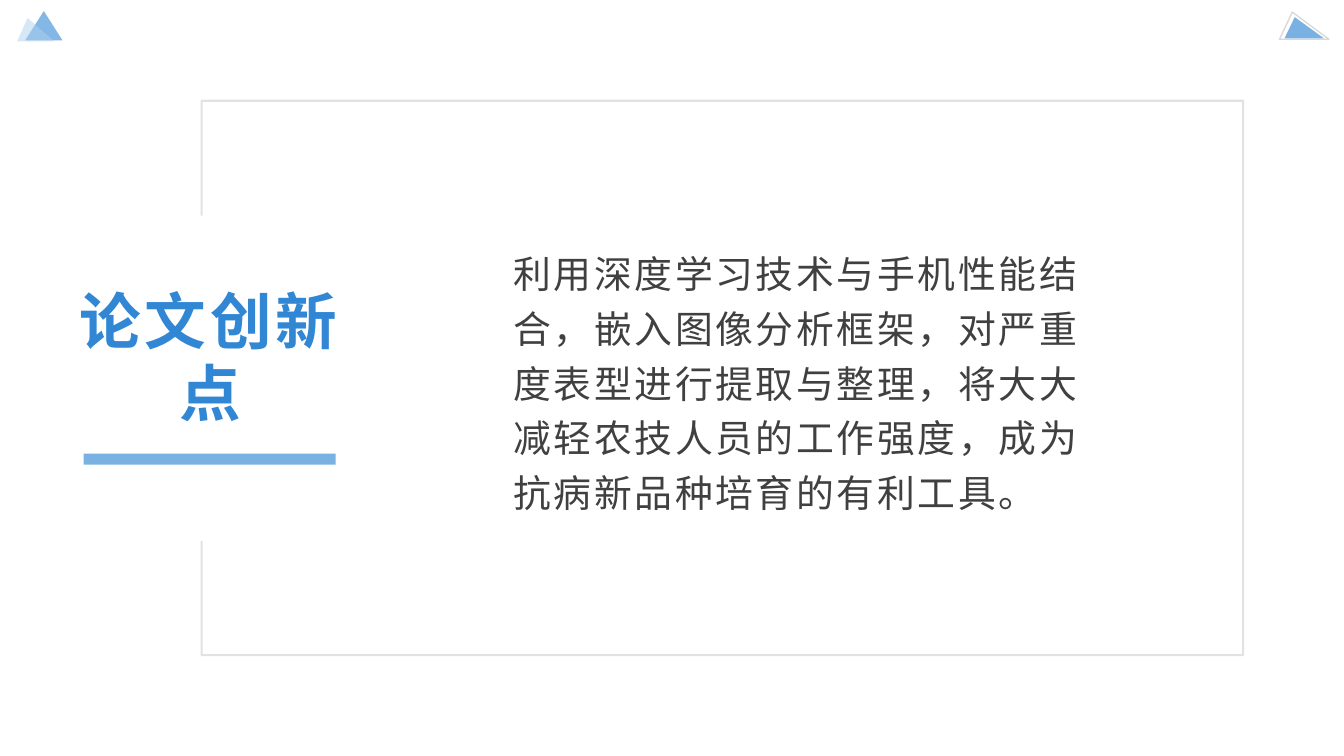
from dataclasses import dataclass
from typing import Optional

from lxml import etree
from pptx import Presentation
from pptx.dml.color import RGBColor
from pptx.enum.shapes import MSO_SHAPE
from pptx.enum.text import MSO_ANCHOR, MSO_AUTO_SIZE, PP_ALIGN
from pptx.oxml.ns import qn
from pptx.util import Inches, Pt

TRIANGLE, RECT = MSO_SHAPE.ISOSCELES_TRIANGLE, MSO_SHAPE.RECTANGLE
MIDDLE, NO_FIT = MSO_ANCHOR.MIDDLE, MSO_AUTO_SIZE.NONE
LEFT, CENTER = PP_ALIGN.LEFT, PP_ALIGN.CENTER


@dataclass(frozen=True)
class Theme:
    font: str = "Noto Sans CJK SC"
    blue: str = "3187D4"
    mid: str = "79B1E3"
    pale: str = "AFD0EE"
    gray: str = "D9D9D9"
    ink: str = "404040"
    title: float = 44
    body: float = 27


THEME = Theme()


@dataclass(frozen=True)
class Peak:
    """One triangle of a corner mark."""
    left: float
    top: float
    width: float
    height: float
    apex: float
    fill: Optional[str] = None
    alpha: int = 100
    line: Optional[str] = None


LEFT_MARK = (
    Peak(0.25, 0.11, 0.37, 0.29, 0.5, fill=THEME.blue, alpha=60),
    Peak(0.17, 0.18, 0.37, 0.23, 0.28, fill=THEME.pale, alpha=50),
)
RIGHT_MARK = (
    Peak(12.69, 0.12, 0.49, 0.27, 0.26, line=THEME.gray),
    Peak(12.74, 0.17, 0.39, 0.21, 0.26, fill=THEME.mid),
)


def paint(fill, color: str, alpha: int = 100) -> None:
    fill.solid()
    fill.fore_color.rgb = RGBColor.from_string(color)
    if alpha < 100:
        tint = fill.fore_color._xFill.find(qn("a:srgbClr"))
        etree.SubElement(tint, qn("a:alpha"), val=str(alpha * 1000))


def style(shape, fill: Optional[str] = None, alpha: int = 100,
          line: Optional[str] = None, weight: float = 1,
          fade: int = 100) -> None:
    shape.shadow.inherit = False
    if fill:
        paint(shape.fill, fill, alpha)
    else:
        shape.fill.background()
    if line:
        paint(shape.line.fill, line, fade)
        shape.line.width = Pt(weight)
    else:
        shape.line.fill.background()


def add_mark(slide, peaks: tuple[Peak, ...]) -> None:
    group = slide.shapes.add_group_shape()
    for peak in peaks:
        shape = group.shapes.add_shape(
            TRIANGLE, Inches(peak.left), Inches(peak.top),
            Inches(peak.width), Inches(peak.height))
        shape.adjustments[0] = peak.apex
        style(shape, peak.fill, peak.alpha, peak.line)


def add_frame(slide) -> None:
    """Draw the outline that stays open beside the title."""
    build = slide.shapes.build_freeform(Inches(2), Inches(2.14))
    points = ((2, 1), (12.33, 1), (12.33, 6.5), (2, 6.5), (2, 5.37))
    build.add_line_segments(
        [(Inches(x), Inches(y)) for x, y in points], close=False)
    style(build.convert_to_shape(), line=THEME.gray, weight=1.5, fade=75)


def write(shape, text: str, *, size: float, color: str, pitch: float,
          gap: float, bold: bool = False, align=LEFT,
          after: float = 0) -> None:
    """Fill a shape with text; pitch is line height, gap is tracking."""
    frame = shape.text_frame
    frame.word_wrap = True
    frame.auto_size = NO_FIT
    frame.vertical_anchor = MIDDLE
    frame.margin_left = frame.margin_right = Inches(0.07)
    frame.margin_top = frame.margin_bottom = Inches(0.03)
    para = frame.paragraphs[0]
    para.alignment = align
    para.line_spacing = Pt(pitch)
    para.space_before, para.space_after = Pt(0), Pt(after)
    run = para.add_run()
    run.text = text
    font = run.font
    font.name, font.size, font.bold = THEME.font, Pt(size), bold
    font.color.rgb = RGBColor.from_string(color)
    props = run._r.get_or_add_rPr()
    props.set("lang", "zh-CN")
    props.set("spc", str(round(gap * 100)))
    etree.SubElement(props, qn("a:ea"), typeface=THEME.font)


def main() -> None:
    deck = Presentation()
    deck.slide_width, deck.slide_height = Inches(13.33), Inches(7.5)
    slide = deck.slides.add_slide(deck.slide_layouts[5])

    add_mark(slide, LEFT_MARK)
    add_mark(slide, RIGHT_MARK)
    bar = slide.shapes.add_shape(
        RECT, Inches(0.83), Inches(4.5), Inches(2.5), Inches(0.11))
    style(bar, THEME.mid)
    add_frame(slide)

    title = slide.shapes.title
    title.left, title.top = Inches(0.67), Inches(2.7)
    title.width, title.height = Inches(2.83), Inches(1.67)
    write(title, "论文创新点", size=THEME.title, color=THEME.blue,
          pitch=52, gap=2.8, bold=True, align=CENTER)

    body = slide.shapes.add_textbox(
        Inches(5.02), Inches(2.27), Inches(5.79), Inches(2.97))
    write(body, "利用深度学习技术与手机性能结合，嵌入图像分析框架，"
          "对严重度表型进行提取与整理，将大大减轻农技人员的工作强度，"
          "成为抗病新品种培育的有利工具。",
          size=THEME.body, color=THEME.ink, pitch=39, gap=1.9, after=8)

    deck.save("out.pptx")


if __name__ == "__main__":
    main()
